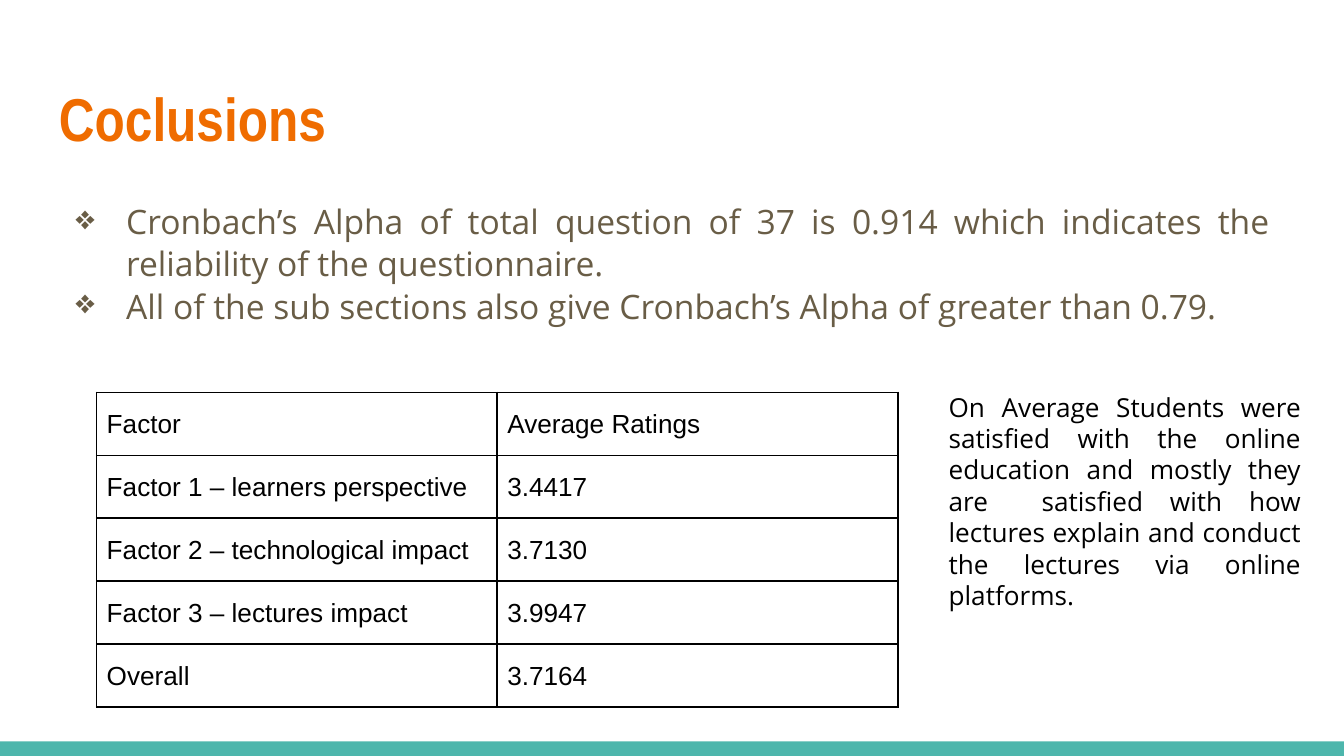
from dataclasses import dataclass

from lxml import etree
from pptx import Presentation
from pptx.dml.color import RGBColor
from pptx.enum import shapes, text
from pptx.oxml import ns
from pptx.util import Pt


@dataclass(frozen=True)
class Theme:
    """Colours, fonts and type sizes of the slide."""
    accent: str = "EF6C00"
    body: str = "695D46"
    ink: str = "000000"
    band: str = "4DB6AC"
    title_font: str = "Arial Narrow"
    text_font: str = "Open Sans"
    table_font: str = "Arial"
    title_size: float = 32.4
    body_size: float = 18
    small_size: float = 14


THEME = Theme()
INSET = Pt(7.2)
BULLETS = (
    "Cronbach’s Alpha of total question of 37 is 0.914 which indicates the reliability of the questionnaire.",
    "All of the sub sections also give Cronbach’s Alpha of greater than 0.79.",
)
RATINGS = (
    ("Factor", "Average Ratings"),
    ("Factor 1 – learners perspective", "3.4417"),
    ("Factor 2 – technological impact", "3.7130"),
    ("Factor 3 – lectures impact", "3.9947"),
    ("Overall", "3.7164"),
)
REMARK = (
    "On Average Students were satisfied with the online education and mostly they are  satisfied "
    "with how lectures explain and conduct the lectures via online platforms."
)


def add_run(paragraph, words, font, size, colour, bold=False):
    """Append one styled run to a paragraph."""
    run = paragraph.add_run()
    run.text = words
    run.font.name = font
    run.font.size = Pt(size)
    run.font.bold = bold
    run.font.color.rgb = RGBColor.from_string(colour)


def add_text_box(slide, left, top, width, height, anchor=text.MSO_ANCHOR.TOP):
    """Add a wrapping text box and return its text frame."""
    frame = slide.shapes.add_textbox(Pt(left), Pt(top), Pt(width), Pt(height)).text_frame
    frame.word_wrap = True
    frame.vertical_anchor = anchor
    frame.margin_left = frame.margin_right = frame.margin_top = frame.margin_bottom = INSET
    return frame


def add_band(slide, left, top, width, height):
    """Add the coloured strip at the foot of the slide."""
    shape = slide.shapes.add_shape(
        shapes.MSO_SHAPE.RECTANGLE, Pt(left), Pt(top), Pt(width), Pt(height))
    shape.shadow.inherit = False
    shape.fill.solid()
    shape.fill.fore_color.rgb = RGBColor.from_string(THEME.band)
    shape.line.fill.background()


def set_bullet(paragraph, symbol, colour):
    """Give a paragraph a hanging bullet in the given colour."""
    properties = paragraph._p.get_or_add_pPr()
    properties.set("marL", str(Pt(36)))
    properties.set("indent", str(-Pt(27)))
    bullet_colour = etree.SubElement(properties, ns.qn("a:buClr"))
    etree.SubElement(bullet_colour, ns.qn("a:srgbClr"), val=colour)
    etree.SubElement(properties, ns.qn("a:buChar"), char=symbol)


def add_bullets(frame, items):
    """Write justified bullet paragraphs into a text frame."""
    for index, item in enumerate(items):
        paragraph = frame.add_paragraph() if index else frame.paragraphs[0]
        paragraph.alignment = text.PP_ALIGN.JUSTIFY
        paragraph.line_spacing = 1.05
        set_bullet(paragraph, "❖", THEME.body)
        add_run(paragraph, item, THEME.text_font, THEME.body_size, THEME.body)


def set_borders(cell, colour):
    """Draw a one-point line on each side of a cell."""
    properties = cell._tc.get_or_add_tcPr()
    for index, side in enumerate(("lnL", "lnR", "lnT", "lnB")):
        line = etree.Element(ns.qn(f"a:{side}"), w=str(Pt(1)))
        fill = etree.SubElement(line, ns.qn("a:solidFill"))
        etree.SubElement(fill, ns.qn("a:srgbClr"), val=colour)
        properties.insert(index, line)


def add_ratings_table(slide, left, top, column_width, row_height, rows):
    """Add the bordered, unfilled table of ratings."""
    columns = len(rows[0])
    table = slide.shapes.add_table(
        len(rows), columns, Pt(left), Pt(top),
        Pt(column_width * columns), Pt(row_height * len(rows))).table
    table.first_row = table.horz_banding = False
    for cell, words in zip(table.iter_cells(), (words for row in rows for words in row)):
        cell.fill.background()
        cell.margin_left = cell.margin_right = Pt(5.4)
        cell.margin_top = cell.margin_bottom = INSET
        set_borders(cell, THEME.ink)
        paragraph = cell.text_frame.paragraphs[0]
        paragraph.line_spacing = 1.15
        paragraph.space_before = Pt(12)
        add_run(paragraph, words, THEME.table_font, THEME.small_size, THEME.ink)


def main():
    """Build and save the slide."""
    presentation = Presentation()
    presentation.slide_width, presentation.slide_height = Pt(720), Pt(405)
    slide = presentation.slides.add_slide(presentation.slide_layouts[6])

    add_band(slide, 0, 397.2, 720, 7.8)
    title = add_text_box(slide, 24.5, 35.3, 671, 55.4, text.MSO_ANCHOR.MIDDLE)
    add_run(title.paragraphs[0], "Coclusions", THEME.title_font, THEME.title_size, THEME.accent, bold=True)
    add_bullets(add_text_box(slide, 24.5, 99.4, 663, 84.2), BULLETS)
    add_ratings_table(slide, 51.8, 210.2, 214.6, 32.5, RATINGS)

    remark = add_text_box(slide, 501.1, 202.3, 203, 133.2)
    remark.auto_size = text.MSO_AUTO_SIZE.SHAPE_TO_FIT_TEXT
    remark.paragraphs[0].alignment = text.PP_ALIGN.JUSTIFY
    add_run(remark.paragraphs[0], REMARK, THEME.text_font, THEME.small_size, THEME.ink)

    presentation.save("out.pptx")


if __name__ == "__main__":
    main()
